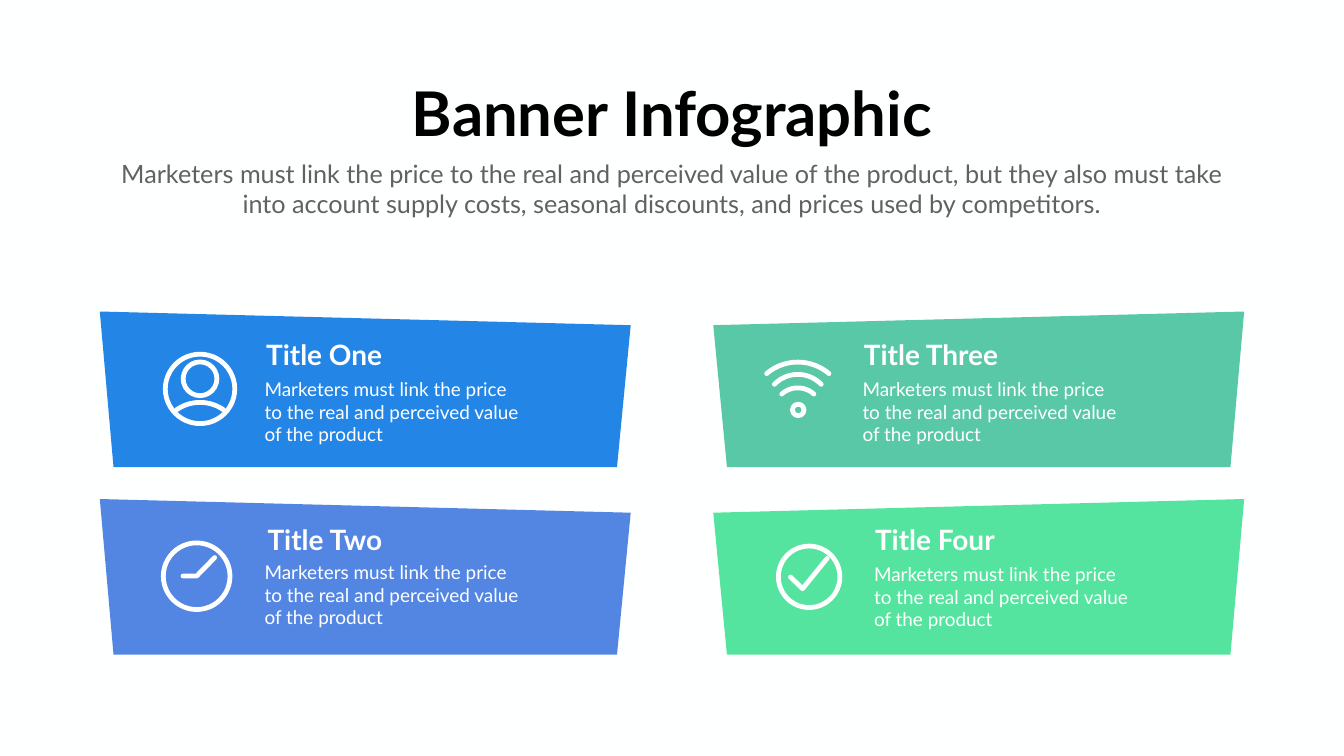
from math import asin, cos, sin
from pptx import Presentation
from pptx.dml.color import RGBColor
from pptx.enum.shapes import MSO_SHAPE
from pptx.enum.text import MSO_ANCHOR, MSO_AUTO_SIZE, PP_ALIGN
from pptx.oxml import parse_xml
from pptx.oxml.ns import nsdecls
from pptx.util import Cm, Pt

theme = {
    "background": "FEFFFF",
    "icon": "FFFFFF",
    "icon_width": 6.8,
    "headline": {"size": Pt(88), "bold": True, "color": "000000"},
    "intro": {"size": Pt(36), "bold": False, "color": "616161"},
    "heading": {"size": Pt(40), "bold": True, "color": "FFFFFF"},
    "detail": {"size": Pt(27), "bold": False, "color": "FFFFFF"},
}


def write(holder, text, style, align, wrap=True):
    frame = holder.text_frame
    frame_format = {
        "text": text,
        "word_wrap": wrap,
        "auto_size": MSO_AUTO_SIZE.NONE,
        "vertical_anchor": MSO_ANCHOR.TOP,
    }
    for name, value in frame_format.items():
        setattr(frame, name, value)
    paragraph = frame.paragraphs[0]
    paragraph_format = {"alignment": align, "space_before": Pt(0), "line_spacing": 1.0}
    for name, value in paragraph_format.items():
        setattr(paragraph, name, value)
    font = paragraph.runs[0].font
    font_format = {"name": "Lato", "size": theme[style]["size"], "bold": theme[style]["bold"]}
    for name, value in font_format.items():
        setattr(font, name, value)
    font.color.rgb = RGBColor.from_string(theme[style]["color"])


def outline(stroke):
    stroke.shadow.inherit = False
    stroke.fill.background()
    stroke.line.color.rgb = RGBColor.from_string(theme["icon"])
    stroke.line.width = Pt(theme["icon_width"])
    line = stroke._element.spPr.get_or_add_ln()
    line.set("cap", "rnd")
    line.append(parse_xml(f"<a:round {nsdecls('a')}/>"))


deck = Presentation()
deck.slide_width, deck.slide_height = Cm(67.72), Cm(38.1)
slide = deck.slides.add_slide(deck.slide_layouts[0])
slide.background.fill.solid()
slide.background.fill.fore_color.rgb = RGBColor.from_string(theme["background"])
shapes = slide.shapes

headline, intro = slide.placeholders
places = [(headline, (20.17, 3.63, 27.38, 4.01)), (intro, (5.64, 7.85, 56.41, 3.33))]
for holder, place in places:
    for name, value in zip(("left", "top", "width", "height"), place):
        setattr(holder, name, Cm(value))
write(headline, "Banner Infographic", "headline", PP_ALIGN.CENTER, wrap=False)
write(
    intro,
    "Marketers must link the price to the real and perceived value of the product, "
    "but they also must take into account supply costs, seasonal discounts, "
    "and prices used by competitors.",
    "intro",
    PP_ALIGN.CENTER,
)

detail = "Marketers must link the price to the real and perceived value of the product"
banner_width, banner_height, slant = 26.75, 7.84, 0.69
banner_lefts, banner_tops = (5.03, 35.94), (15.7, 25.15)
corners = [
    (0, 0),
    (banner_width, slant),
    (banner_width - slant, banner_height),
    (slant, banner_height),
]
banners = [
    ("Title One", "2386E7", 0, 0, (13.16, 16.89, 6.53), (13.08, 18.9)),
    ("Title Two", "5386E3", 0, 1, (13.23, 26.21, 6.53), (13.08, 28.12)),
    ("Title Three", "59C8A6", 1, 0, (43.28, 16.89, 7.67), (43.21, 18.9)),
    ("Title Four", "54E49F", 1, 1, (43.84, 26.21, 7.16), (43.79, 28.22)),
]
for heading, color, column, row, heading_place, detail_place in banners:
    points = [
        (
            Cm(banner_lefts[column] + (banner_width - x if column else x)),
            Cm(banner_tops[row] + y),
        )
        for x, y in corners
    ]
    builder = shapes.build_freeform(*points[0])
    builder.add_line_segments(points[1:])
    banner = builder.convert_to_shape()
    banner.shadow.inherit = False
    banner.fill.solid()
    banner.fill.fore_color.rgb = RGBColor.from_string(color)
    banner.line.fill.background()

    left, top, width = heading_place
    heading_box = shapes.add_textbox(Cm(left), Cm(top), Cm(width), Cm(1.96))
    write(heading_box, heading, "heading", PP_ALIGN.LEFT)
    left, top = detail_place
    detail_box = shapes.add_textbox(Cm(left), Cm(top), Cm(13.39), Cm(3.71))
    write(detail_box, detail, "detail", PP_ALIGN.LEFT)

user_ring, user_head = (10.08, 19.6, 1.75), (10.08, 19.09, 0.85)
clock_face, check_ring, wifi_dot = (9.91, 29.04, 1.68), (40.77, 29.07, 1.55), (40.22, 20.66, 0.29)
for x, y, radius in (user_ring, user_head, clock_face, check_ring, wifi_dot):
    outline(
        shapes.add_shape(
            MSO_SHAPE.OVAL, Cm(x - radius), Cm(y - radius), Cm(2 * radius), Cm(2 * radius)
        )
    )

clock_hands = [(9.22, 29.03), (9.91, 29.03), (10.82, 28.1)]
check_tick = [(39.83, 29.08), (40.44, 29.67), (41.68, 28.14)]
strokes = [clock_hands, check_tick]
user_shoulders = (10.08, 20.28, 1.19, 0.38)
wifi_waves = [(40.2, 18.25, 1.57, 0.58), (40.2, 18.87, 1.18, 0.5), (40.2, 19.55, 0.81, 0.31)]
steps = 12
for x, top, half_chord, rise in [user_shoulders, *wifi_waves]:
    radius = (half_chord**2 + rise**2) / (2 * rise)
    reach = asin(half_chord / radius)
    angles = [reach * step / steps for step in range(-steps, steps + 1)]
    strokes.append(
        [(x + radius * sin(angle), top + radius * (1 - cos(angle))) for angle in angles]
    )
for stroke in strokes:
    points = [(Cm(x), Cm(y)) for x, y in stroke]
    builder = shapes.build_freeform(*points[0])
    builder.add_line_segments(points[1:], close=False)
    outline(builder.convert_to_shape())

deck.save("out.pptx")
